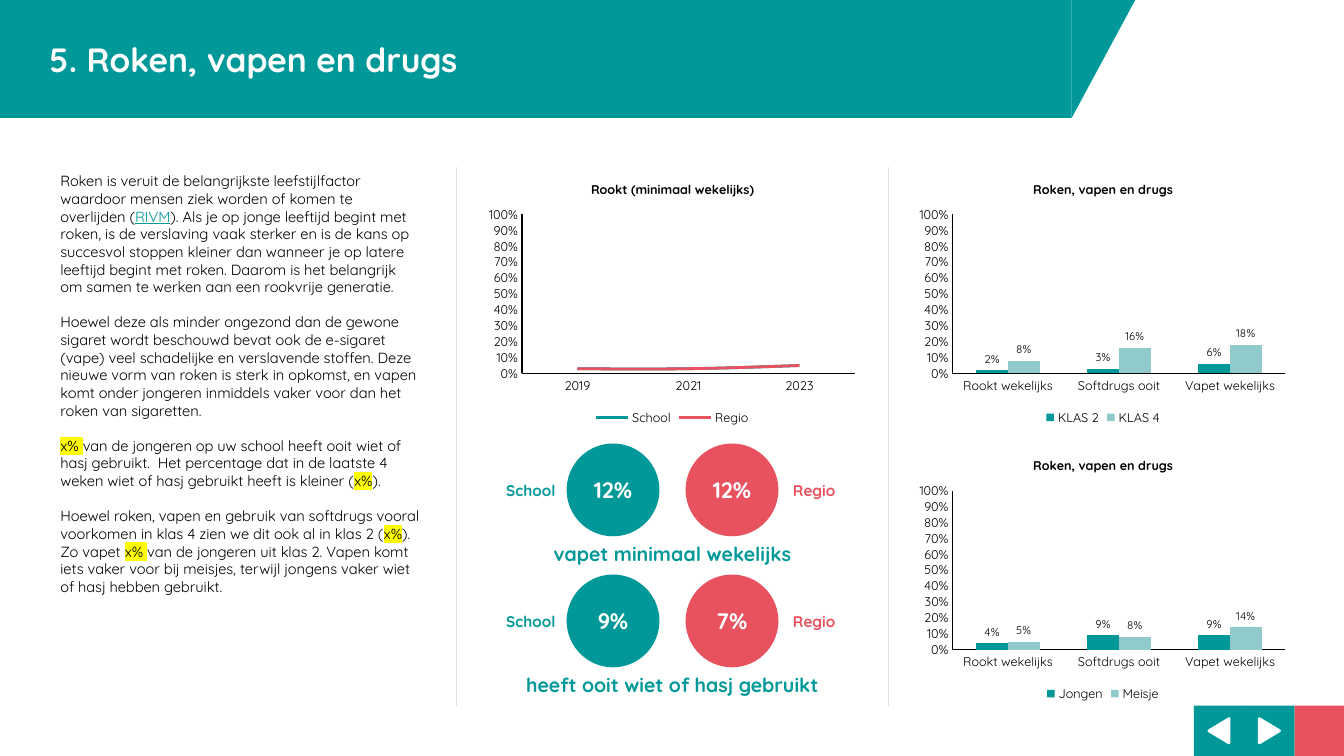
from dataclasses import dataclass

from lxml import etree
from pptx import Presentation
from pptx.chart.data import CategoryChartData
from pptx.dml.color import RGBColor
from pptx.enum.chart import XL_CHART_TYPE, XL_LABEL_POSITION, XL_LEGEND_POSITION, XL_TICK_MARK
from pptx.enum.shapes import MSO_CONNECTOR, MSO_SHAPE
from pptx.enum.text import MSO_ANCHOR, PP_ALIGN
from pptx.oxml import parse_xml
from pptx.oxml.ns import nsdecls, qn
from pptx.util import Inches, Pt

TEAL = RGBColor(0x00, 0x98, 0x98)
LIGHT_TEAL = RGBColor(0x91, 0xCA, 0xCA)
RED = RGBColor(0xE8, 0x52, 0x5F)
GREY = RGBColor(0xE3, 0xE3, 0xE3)
BLACK = RGBColor(0, 0, 0)
WHITE = RGBColor(0xFF, 0xFF, 0xFF)
FONT = "Quicksand"

COLUMNS = (0.5, 4.78, 9.05)
COL_W = 3.78
TOP = 1.66
BOTTOM = 7
CHART_H = 2.6
CIRCLE = 0.92
BUTTON = 0.5


@dataclass
class ChartItem:
    kind: XL_CHART_TYPE
    left: float
    top: float
    title: str
    cats: tuple
    series: dict
    colors: tuple


@dataclass
class Comparison:
    top: float
    school: str
    region: str
    caption: str


LINE, COLUMN = XL_CHART_TYPE.LINE, XL_CHART_TYPE.COLUMN_CLUSTERED
TOPICS = ("Rookt wekelijks", "Softdrugs ooit", "Vapet wekelijks")
CHARTS = (
    ChartItem(LINE, COLUMNS[1], TOP, "Rookt (minimaal wekelijks)", ("2019", "2021", "2023"),
              {"School": (0.03, 0.03, 0.05), "Regio": (0.03, 0.03, 0.05)}, (TEAL, RED)),
    ChartItem(COLUMN, COLUMNS[2], TOP, "Roken, vapen en drugs", TOPICS,
              {"KLAS 2": (0.02, 0.03, 0.06), "KLAS 4": (0.08, 0.16, 0.18)}, (TEAL, LIGHT_TEAL)),
    ChartItem(COLUMN, COLUMNS[2], 4.4, "Roken, vapen en drugs", TOPICS,
              {"Jongen": (0.04, 0.09, 0.09), "Meisje": (0.05, 0.08, 0.14)}, (TEAL, LIGHT_TEAL)),
)
COMPARISONS = (
    Comparison(4.4, "12%", "12%", "vapet minimaal wekelijks"),
    Comparison(5.7, "9%", "7%", "heeft ooit wiet of hasj gebruikt"),
)

LINK, MARK = "link", "mark"
BODY = (
    (("Roken is veruit de belangrijkste leefstijlfactor waardoor mensen ziek worden of komen te "
      "overlijden (", ""), ("RIVM", LINK),
     ("). Als je op jonge leeftijd begint met roken, is de verslaving vaak sterker en is de kans op "
      "succesvol stoppen kleiner dan wanneer je op latere leeftijd begint met roken. Daarom is het "
      "belangrijk om samen te werken aan een rookvrije generatie.", "")),
    (("Hoewel deze als minder ongezond dan de gewone sigaret wordt beschouwd bevat ook de e-sigaret "
      "(vape) veel schadelijke en verslavende stoffen. Deze nieuwe vorm van roken is sterk in "
      "opkomst, en vapen komt onder jongeren inmiddels vaker voor dan het roken van sigaretten.", ""),),
    (("x% ", MARK),
     ("van de jongeren op uw school heeft ooit wiet of hasj gebruikt.  Het percentage dat in de "
      "laatste 4 weken wiet of hasj gebruikt heeft is kleiner (", ""), ("x%", MARK), (").", "")),
    (("Hoewel roken, vapen en gebruik van softdrugs vooral voorkomen in klas 4 zien we dit ook al in "
      "klas 2 (", ""), ("x%", MARK), ("). Zo vapet ", ""), ("x% ", MARK),
     ("van de jongeren uit klas 2. Vapen komt iets vaker voor bij meisjes, terwijl jongens vaker "
      "wiet of hasj hebben gebruikt.", "")),
)


def style(font, size: float, color: RGBColor, bold: bool = False) -> None:
    font.size, font.bold, font.name = Pt(size), bold, FONT
    font.color.rgb = color


def add_shape(s, kind: MSO_SHAPE, left: float, top: float, width: float, height: float,
              color: RGBColor):
    sp = s.shapes.add_shape(kind, Inches(left), Inches(top), Inches(width), Inches(height))
    sp.shadow.inherit = False
    sp.fill.solid()
    sp.fill.fore_color.rgb = color
    sp.line.fill.background()
    return sp


def set_text(sp, text: str, size: float, color: RGBColor, align=PP_ALIGN.CENTER) -> None:
    """Bold single-line text, centred vertically, without side insets."""
    tf = sp.text_frame
    tf.text = text
    tf.word_wrap = True
    tf.margin_left = tf.margin_right = 0
    tf.vertical_anchor = MSO_ANCHOR.MIDDLE
    p = tf.paragraphs[0]
    p.alignment = align
    style(p.runs[0].font, size, color, True)


def add_label(s, left: float, top: float, width: float, height: float, text: str, size: float,
              color: RGBColor) -> None:
    sp = s.shapes.add_textbox(Inches(left), Inches(top), Inches(width), Inches(height))
    set_text(sp, text, size, color)


def add_header(s) -> None:
    slant = add_shape(s, MSO_SHAPE.RIGHT_TRIANGLE, 10.63, 0, 0.63, 1.17, TEAL)
    slant._element.spPr.xfrm.set("flipV", "1")
    bar = add_shape(s, MSO_SHAPE.RECTANGLE, 0, 0, 10.63, 1.17, TEAL)
    set_text(bar, "5. Roken, vapen en drugs", 24, WHITE, PP_ALIGN.LEFT)
    bar.text_frame.margin_left = Inches(0.49)


def add_navigation(s) -> None:
    for i, (color, turn) in enumerate(((TEAL, 270), (TEAL, 90), (RED, None))):
        left = 11.84 + i * BUTTON
        add_shape(s, MSO_SHAPE.RECTANGLE, left, BOTTOM, BUTTON, BUTTON, color)
        if turn is not None:
            arrow = add_shape(s, MSO_SHAPE.ISOSCELES_TRIANGLE, left + 0.13, 7.15, 0.24, 0.2, WHITE)
            arrow.rotation = turn
            arrow.line.color.rgb = WHITE
            arrow.line.width = Pt(2)


def add_divider(s, x: float) -> None:
    line = s.shapes.add_connector(MSO_CONNECTOR.STRAIGHT, Inches(x), Inches(TOP),
                                  Inches(x), Inches(BOTTOM))
    line.line.color.rgb = GREY
    line.line.width = Pt(1)
    etree.SubElement(line._element.spPr, qn("a:effectLst"))


def add_body(s) -> None:
    tf = s.shapes.add_textbox(Inches(COLUMNS[0]), Inches(TOP), Inches(COL_W), Inches(4.7)).text_frame
    tf.word_wrap = True
    for i, parts in enumerate(BODY):
        p = tf.add_paragraph() if i else tf.paragraphs[0]
        if i:
            p.space_before = Pt(12.6)
        for text, look in parts:
            r = p.add_run()
            r.text = text
            style(r.font, 10.5, TEAL if look == LINK else BLACK)
            if look == LINK:
                r.font.underline = True
            elif look == MARK:
                r._r.rPr.find(qn("a:solidFill")).addnext(parse_xml(
                    f'<a:highlight {nsdecls("a")}><a:srgbClr val="FFFF00"/></a:highlight>'))


def add_comparison(s, item: Comparison) -> None:
    sides = (("School", item.school, TEAL, 4.91, 5.62), ("Regio", item.region, RED, 7.72, 6.8))
    for name, value, color, label_left, circle_left in sides:
        add_label(s, label_left, item.top + 0.32, 0.71, 0.29, name, 11, color)
        circle = add_shape(s, MSO_SHAPE.OVAL, circle_left, item.top, CIRCLE, CIRCLE, color)
        set_text(circle, value, 16, WHITE)
    add_label(s, COLUMNS[1], item.top + CIRCLE, COL_W, 0.34, item.caption, 14, TEAL)


def fix_plot_area(chart) -> None:
    """Give the inner plot area the same fixed place in every chart."""
    area = chart._chartSpace.chart.plotArea
    for old in area.findall(qn("c:layout")):
        area.remove(old)
    places = "".join(f'<c:{k} val="{v}"/>' for k, v in (
        ("layoutTarget", "inner"), ("xMode", "edge"), ("yMode", "edge"),
        ("x", 0.105), ("y", 0.18), ("w", 0.874), ("h", 0.607)))
    area.insert(0, parse_xml(
        f'<c:layout {nsdecls("c")}><c:manualLayout>{places}</c:manualLayout></c:layout>'))


def add_chart(s, item: ChartItem) -> None:
    data = CategoryChartData(number_format="0%")
    data.categories = item.cats
    for name, values in item.series.items():
        data.add_series(name, values)
    chart = s.shapes.add_chart(item.kind, Inches(item.left), Inches(item.top), Inches(COL_W),
                               Inches(CHART_H), data).chart
    style(chart.font, 9, BLACK)
    chart.has_title = True
    tf = chart.chart_title.text_frame
    tf.text = item.title
    style(tf.paragraphs[0].runs[0].font, 9, BLACK, True)
    chart.has_legend = True
    chart.legend.position = XL_LEGEND_POSITION.BOTTOM
    chart.legend.include_in_layout = False
    style(chart.legend.font, 9, BLACK)
    for axis in (chart.category_axis, chart.value_axis):
        axis.has_major_gridlines = False
        axis.major_tick_mark = axis.minor_tick_mark = XL_TICK_MARK.NONE
        axis.format.line.color.rgb = BLACK
        axis.format.line.width = Pt(1)
        style(axis.tick_labels.font, 9, BLACK)
    axis = chart.value_axis
    axis.minimum_scale, axis.maximum_scale, axis.major_unit = 0, 1, 0.1
    axis.tick_labels.number_format = "0%"
    axis.tick_labels.number_format_is_linked = False

    plot = chart.plots[0]
    plot.vary_by_categories = False
    for series, color in zip(plot.series, item.colors):
        if item.kind == LINE:
            series.smooth = True
            series.format.line.color.rgb = color
            series.format.line.width = Pt(2)
        else:
            series.format.fill.solid()
            series.format.fill.fore_color.rgb = color
    if item.kind == COLUMN:
        plot.gap_width, plot.overlap = 150, 0
        plot.has_data_labels = True
        labels = plot.data_labels
        labels.show_value = True
        labels.position = XL_LABEL_POSITION.OUTSIDE_END
        labels.number_format, labels.number_format_is_linked = "0%", False
        style(labels.font, 8, BLACK)
    fix_plot_area(chart)


def main() -> None:
    prs = Presentation()
    prs.slide_width, prs.slide_height = Inches(13.33), Inches(7.5)
    s = prs.slides.add_slide(prs.slide_layouts[6])
    add_navigation(s)
    for x in (4.53, 8.81):
        add_divider(s, x)
    add_header(s)
    add_body(s)
    for comparison in COMPARISONS:
        add_comparison(s, comparison)
    for item in CHARTS:
        add_chart(s, item)
    prs.save("out.pptx")


if __name__ == "__main__":
    main()
